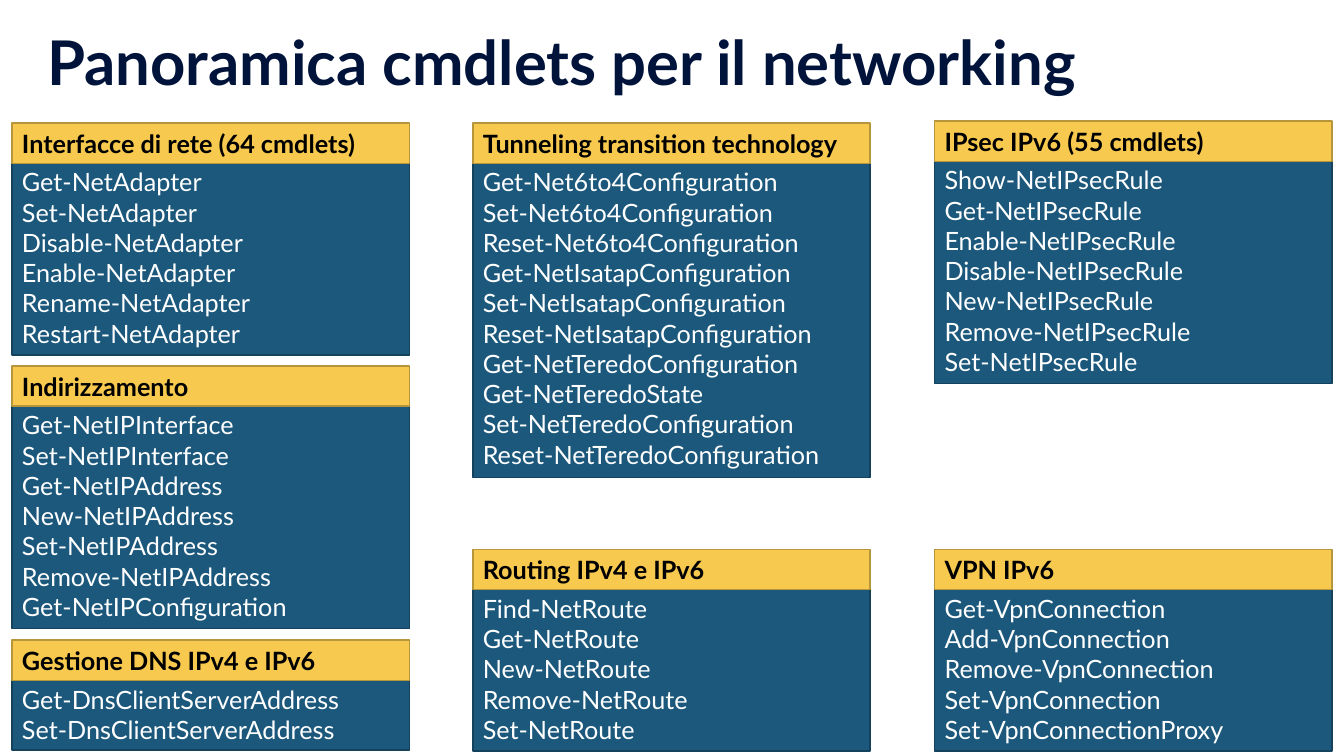
import pptx
import pptx.util
import pptx.dml.color
import pptx.enum.shapes
import pptx.enum.text

Inches = pptx.util.Inches
Pt = pptx.util.Pt
RGB = pptx.dml.color.RGBColor.from_string
Anchor = pptx.enum.text.MSO_ANCHOR

COLORS = {
    "title": "00133A", "head": "F7C94E", "head_line": "B7953A", "head_text": "000000",
    "body": "1B587C", "body_line": "14415C", "body_text": "FFFFFF",
}
COLS = [0.12, 4.69, 9.27]
WIDTH, HEAD, STEP = 3.94, 0.4, 0.385
LINE, PAD = 0.303, 0.1

# column, top, heading, cmdlets
CARDS = [
    (0, 3.63, "Indirizzamento", [
        "Get-NetIPInterface", "Set-NetIPInterface", "Get-NetIPAddress", "New-NetIPAddress",
        "Set-NetIPAddress", "Remove-NetIPAddress", "Get-NetIPConfiguration"]),
    (0, 1.22, "Interfacce di rete (64 cmdlets)", [
        "Get-NetAdapter", "Set-NetAdapter", "Disable-NetAdapter", "Enable-NetAdapter",
        "Rename-NetAdapter", "Restart-NetAdapter"]),
    (1, 5.45, "Routing IPv4 e IPv6", [
        "Find-NetRoute", "Get-NetRoute", "New-NetRoute", "Remove-NetRoute", "Set-NetRoute"]),
    (0, 6.35, "Gestione DNS IPv4 e IPv6", [
        "Get-DnsClientServerAddress", "Set-DnsClientServerAddress"]),
    (1, 1.22, "Tunneling transition technology", [
        "Get-Net6to4Configuration", "Set-Net6to4Configuration", "Reset-Net6to4Configuration",
        "Get-NetIsatapConfiguration", "Set-NetIsatapConfiguration",
        "Reset-NetIsatapConfiguration", "Get-NetTeredoConfiguration", "Get-NetTeredoState",
        "Set-NetTeredoConfiguration", "Reset-NetTeredoConfiguration"]),
    (2, 1.2, "IPsec IPv6 (55 cmdlets)", [
        "Show-NetIPsecRule", "Get-NetIPsecRule", "Enable-NetIPsecRule", "Disable-NetIPsecRule",
        "New-NetIPsecRule", "Remove-NetIPsecRule", "Set-NetIPsecRule"]),
    (2, 5.45, "VPN IPv6", [
        "Get-VpnConnection", "Add-VpnConnection", "Remove-VpnConnection",
        "Set-VpnConnection", "Set-VpnConnectionProxy"]),
]


def write(shape, lines, color, size=18, bold=False, anchor=Anchor.TOP, spacing=None):
    """Fill a shape with one left-aligned paragraph per line."""
    frame = shape.text_frame
    frame.word_wrap = True
    frame.vertical_anchor = anchor
    for i, line in enumerate(lines):
        para = frame.add_paragraph() if i else frame.paragraphs[0]
        para.alignment = pptx.enum.text.PP_ALIGN.LEFT
        para.line_spacing = spacing
        run = para.add_run()
        run.text = line
        run.font.name = "Lato"
        run.font.size = Pt(size)
        run.font.bold = bold
        run.font.color.rgb = RGB(COLORS[color])


def add_box(group, left, top, height, lines, kind, bold=False):
    """Add a coloured box with its text to a card."""
    box = group.shapes.add_shape(
        pptx.enum.shapes.MSO_SHAPE.RECTANGLE,
        Inches(left), Inches(top), Inches(WIDTH), Inches(height))
    box.shadow.inherit = False
    box.fill.solid()
    box.fill.fore_color.rgb = RGB(COLORS[kind])
    box.line.color.rgb = RGB(COLORS[kind + "_line"])
    box.line.width = Pt(1)
    write(box, lines, kind + "_text", bold=bold)
    box.text_frame.auto_size = pptx.enum.text.MSO_AUTO_SIZE.SHAPE_TO_FIT_TEXT


deck = pptx.Presentation()
deck.slide_width = Inches(13.33)
deck.slide_height = Inches(7.5)
slide = deck.slides.add_slide(deck.slide_layouts[6])

title = slide.shapes.add_textbox(Inches(0.37), Inches(0.2), Inches(12.6), Inches(0.91))
write(title, ["Panoramica cmdlets per il networking"], "title",
      size=44, bold=True, anchor=Anchor.MIDDLE, spacing=0.9)

for col, top, head, cmds in CARDS:
    card = slide.shapes.add_group_shape()
    add_box(card, COLS[col], top + STEP, PAD + LINE * len(cmds), cmds, "body")
    add_box(card, COLS[col], top, HEAD, [head], "head", bold=True)

deck.save("out.pptx")
